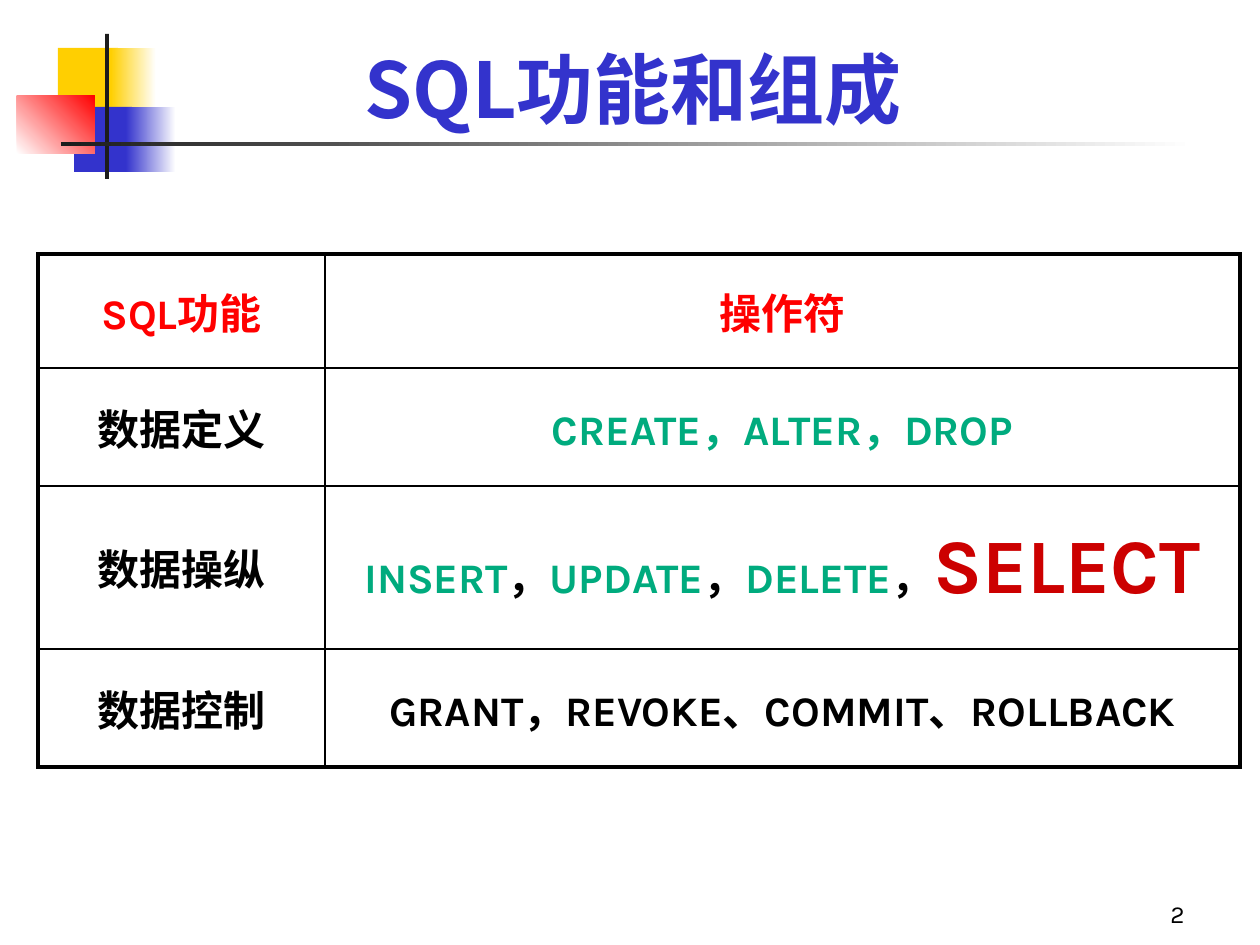
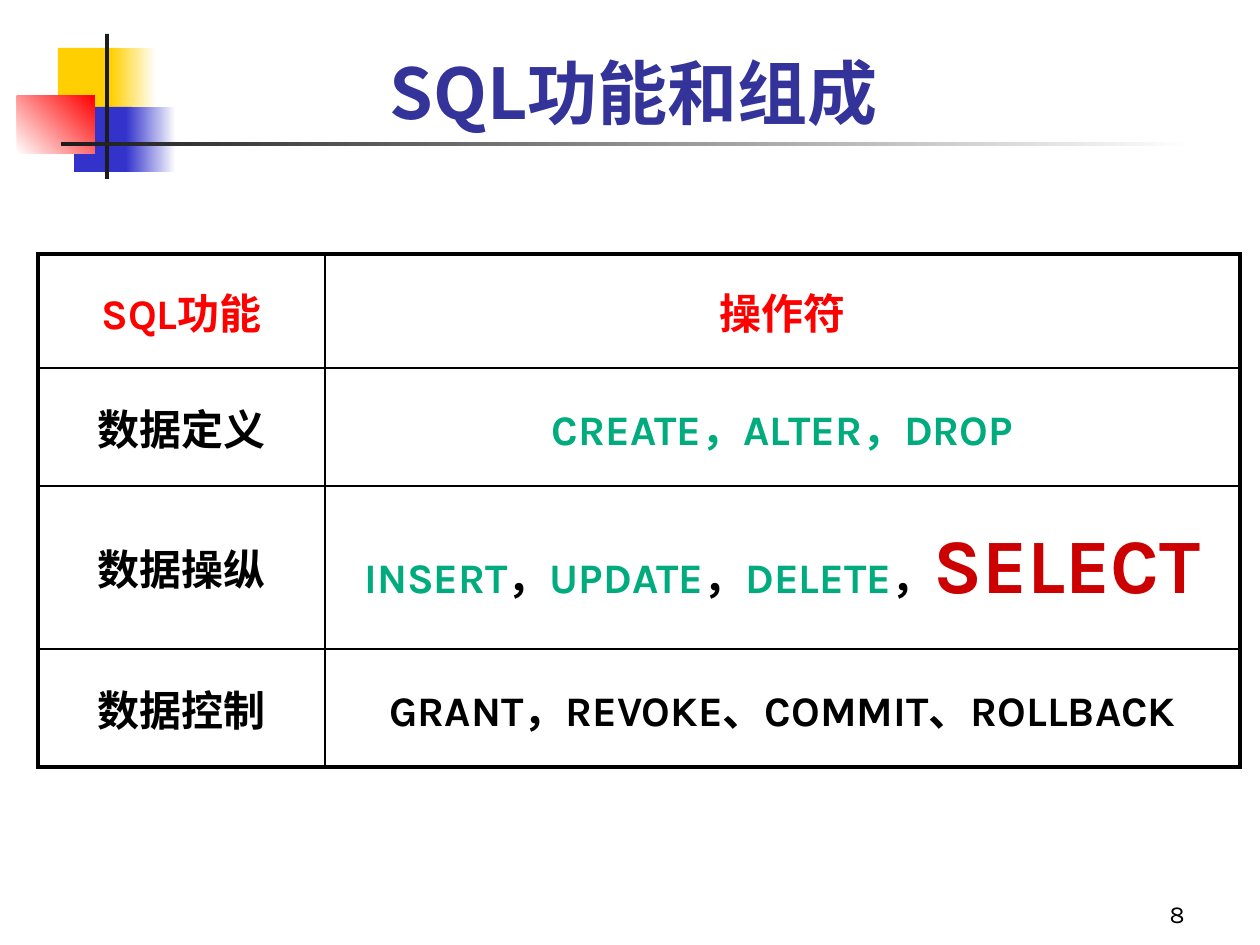
from lxml import etree
from pptx import Presentation
from pptx.dml.color import RGBColor
from pptx.enum.shapes import MSO_SHAPE
from pptx.enum.text import MSO_ANCHOR as ANCHOR, PP_ALIGN as ALIGN
from pptx.oxml.ns import qn
from pptx.util import Pt

PX = 914400 / 126
LATIN, CJK = "Karla", "Noto Sans CJK SC"
BLACK, WHITE, RED, BLUE = "000000", "FFFFFF", "FF0000", "3333CC"
YELLOW, INK, GREEN, DARK_RED = "FFCF01", "1C1C1C", "00AB7E", "CC0000"

TITLE = "SQL功能和组成"
PAGES = [  # title size, title colour, page number
    (44, BLUE, "2"),
    (40, "333399", "8"),
]

# left, top, width, height, colours (two make a gradient), angle
DECORATION = [
    (58, 48, 60, 66, [YELLOW], 0),
    (111, 48, 45, 66, [YELLOW, WHITE], 0),
    (74, 107, 58, 65, [BLUE], 0),
    (126, 107, 50, 65, [BLUE, WHITE], 0),
    (17, 96, 78, 58, [WHITE, RED], 45),
    (105, 34, 4, 145, [INK], 0),
    (61, 142, 1134, 4, [INK, WHITE], 0),
]
TITLE_BOX = (49, 23, 1169, 117)
NUMBER_BOX = (935, 872, 262, 63)

TABLE_LEFT, TABLE_TOP = 38, 254
COLUMNS = [287, 915]
ROWS = [114, 118, 163, 118]
CELL_SIZE, OUTER, INNER = 24, 2.25, 1

# each cell is a list of (text, colour, size) spans
COMMA = ("，", BLACK, CELL_SIZE)
CELLS = [
    [[("SQL功能", RED, CELL_SIZE)], [("操作符", RED, CELL_SIZE)]],
    [[("数据定义", BLACK, CELL_SIZE)],
     [("CREATE，ALTER，DROP", GREEN, CELL_SIZE)]],
    [[("数据操纵", BLACK, CELL_SIZE)],
     [("INSERT", GREEN, CELL_SIZE), COMMA, ("UPDATE", GREEN, CELL_SIZE), COMMA,
      ("DELETE", GREEN, CELL_SIZE), COMMA, ("SELECT", DARK_RED, 44)]],
    [[("数据控制", BLACK, CELL_SIZE)],
     [("GRANT，REVOKE、COMMIT、ROLLBACK", BLACK, CELL_SIZE)]],
]


def px(*lengths):
    return [round(length * PX) for length in lengths]


def color(value):
    return RGBColor.from_string(value)


def add_span(para, text, ink, size, latin=LATIN, bold=True):
    span = para.add_run()
    span.text = text
    font = span.font
    font.name, font.size, font.bold = latin, Pt(size), bold
    font.color.rgb = color(ink)
    east_asian = etree.Element(qn("a:ea"), typeface=CJK)
    span.font._element.find(qn("a:latin")).addnext(east_asian)


def add_text(page, place, align, *span, **style):
    """Add a one-line text box that sits on its bottom edge."""
    frame = page.shapes.add_textbox(*px(*place)).text_frame
    frame.word_wrap = True
    frame.vertical_anchor = ANCHOR.BOTTOM
    para = frame.paragraphs[0]
    para.alignment = align
    add_span(para, *span, **style)


def add_decoration(page):
    for *place, colors, angle in DECORATION:
        block = page.shapes.add_shape(MSO_SHAPE.RECTANGLE, *px(*place))
        block.shadow.inherit = False
        block.line.fill.background()
        if len(colors) == 1:
            block.fill.solid()
            block.fill.fore_color.rgb = color(colors[0])
        else:
            block.fill.gradient()
            block.fill.gradient_angle = angle
            for stop, value in zip(block.fill.gradient_stops, colors):
                stop.color.rgb = color(value)


def set_borders(cell, row, column):
    """Draw thick lines on the table's edge and thin ones inside."""
    edges = {
        "L": column == 0,
        "R": column == len(COLUMNS) - 1,
        "T": row == 0,
        "B": row == len(ROWS) - 1,
    }
    properties = cell._tc.get_or_add_tcPr()
    for side, is_outer in edges.items():
        width = Pt(OUTER if is_outer else INNER)
        line = etree.SubElement(properties, qn(f"a:ln{side}"), w=str(width))
        fill = etree.SubElement(line, qn("a:solidFill"))
        etree.SubElement(fill, qn("a:srgbClr"), val=BLACK)


def add_function_table(page):
    size = px(TABLE_LEFT, TABLE_TOP, sum(COLUMNS), sum(ROWS))
    table = page.shapes.add_table(len(ROWS), len(COLUMNS), *size).table
    table.first_row = table.horz_banding = False
    for column, width in zip(table.columns, px(*COLUMNS)):
        column.width = width
    for row, height in zip(table.rows, px(*ROWS)):
        row.height = height
    for r, contents in enumerate(CELLS):
        for c, spans in enumerate(contents):
            cell = table.cell(r, c)
            set_borders(cell, r, c)
            cell.fill.background()
            cell.vertical_anchor = ANCHOR.MIDDLE
            para = cell.text_frame.paragraphs[0]
            para.alignment = ALIGN.CENTER
            for span in spans:
                add_span(para, *span)


def main():
    deck = Presentation()
    deck.slide_width, deck.slide_height = px(1260, 945)
    for title_size, title_color, number in PAGES:
        page = deck.slides.add_slide(deck.slide_layouts[6])
        add_decoration(page)
        add_text(page, TITLE_BOX, ALIGN.CENTER, TITLE, title_color, title_size, latin=CJK)
        add_function_table(page)
        add_text(page, NUMBER_BOX, ALIGN.RIGHT, number, BLACK, 14, bold=False)
    deck.save("out.pptx")


if __name__ == "__main__":
    main()
